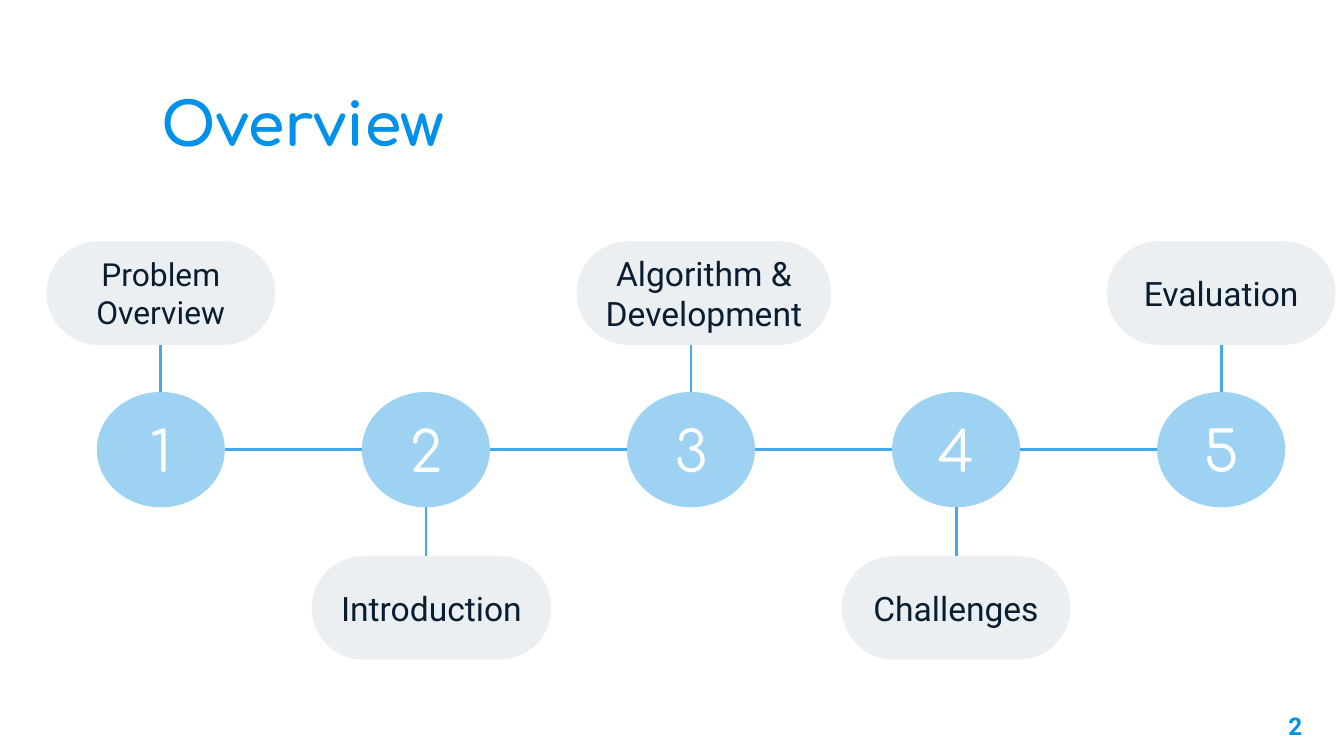
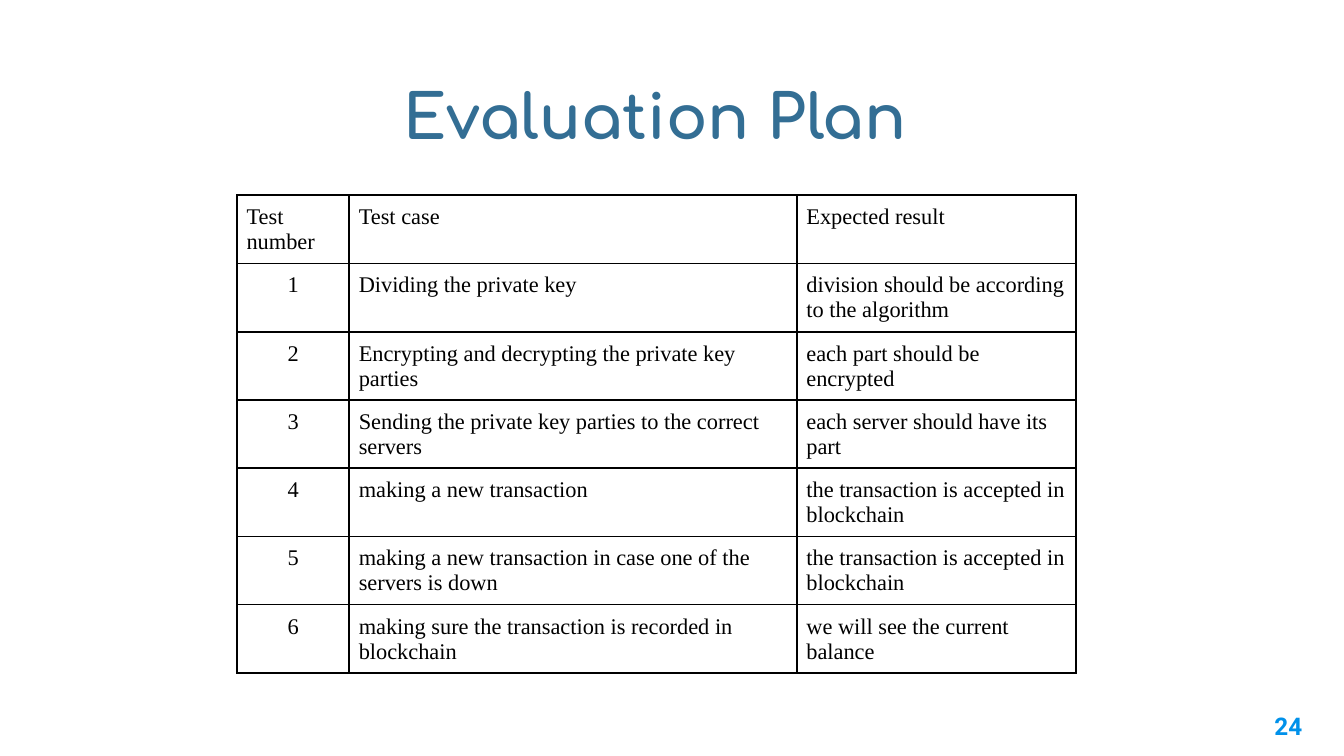
from dataclasses import dataclass

from lxml.etree import SubElement
from pptx import Presentation
from pptx.dml.color import RGBColor
from pptx.enum.shapes import MSO_CONNECTOR, MSO_SHAPE
from pptx.enum.text import MSO_ANCHOR, PP_ALIGN
from pptx.oxml import parse_xml
from pptx.oxml.ns import nsdecls, qn
from pptx.util import Cm, Pt

BRIGHT_BLUE = "0091EA"
STEEL_BLUE = "336E94"
LINE_BLUE = "46A9E7"
NODE_BLUE = "9ED2F2"
PILL_GREY = "ECEFF1"
NAVY = "091D31"
WHITE = "FFFFFF"
BLACK = "000000"


@dataclass(frozen=True)
class Box:
    left: float
    top: float
    width: float
    height: float

    def lengths(self):
        return Cm(self.left), Cm(self.top), Cm(self.width), Cm(self.height)


@dataclass(frozen=True)
class TextStyle:
    font: str
    size: float
    color: str
    bold: bool = False
    align: PP_ALIGN = PP_ALIGN.LEFT
    anchor: MSO_ANCHOR = MSO_ANCHOR.TOP


STANDARD_PILL_WIDTH = 4.32


@dataclass(frozen=True)
class Step:
    label: str
    pill_width: float = STANDARD_PILL_WIDTH
    size: float = 18


PAGE_NUMBER = TextStyle("Roboto", 13, BRIGHT_BLUE, True, PP_ALIGN.RIGHT)
NODE_NUMBER = TextStyle("Comfortaa", 30, WHITE, False, PP_ALIGN.CENTER, MSO_ANCHOR.MIDDLE)
CELL = TextStyle("Times New Roman", 12, BLACK)
CELL_CENTERED = TextStyle("Times New Roman", 12, BLACK, align=PP_ALIGN.CENTER)

STEPS = [
    Step("Problem Overview", size=17),
    Step("Introduction", 4.53),
    Step("Algorithm & Development", 4.81),
    Step("Challenges"),
    Step("Evaluation"),
]
NODE_LEFT, NODE_TOP, NODE_WIDTH, NODE_HEIGHT = 1.83, 7.41, 2.42, 2.18
NODE_PITCH = 5.01
PILL_OVERHANG, PILL_HEIGHT = 0.95, 1.96
PILL_TOP_ABOVE, PILL_TOP_BELOW = 4.56, 10.51

TESTS = [
    ("Test number", "Test case", "Expected result"),
    ("1", "Dividing the private key", "division should be according to the algorithm"),
    ("2", "Encrypting and decrypting the private key parties",
     "each part should be encrypted"),
    ("3", "Sending the private key parties to the correct servers",
     "each server should have its part"),
    ("4", "making a new transaction", "the transaction is accepted in blockchain"),
    ("5", "making a new transaction in case one of the servers is down",
     "the transaction is accepted in blockchain"),
    ("6", "making sure the transaction is recorded in blockchain",
     "we will see the current balance"),
]
COLUMN_WIDTHS = (2.12, 8.46, 5.28)
ROW_HEIGHT = 1.29


def rgb(color: str) -> RGBColor:
    return RGBColor.from_string(color)


def set_attributes(target, values: dict) -> None:
    for name, value in values.items():
        setattr(target, name, value)


def write(text_frame, text: str, style: TextStyle) -> None:
    paragraph = text_frame.paragraphs[0]
    paragraph.alignment = style.align
    run = paragraph.add_run()
    run.text = text
    set_attributes(run.font, {"name": style.font, "size": Pt(style.size), "bold": style.bold})
    run.font.color.rgb = rgb(style.color)


def fill_frame(text_frame, text: str, style: TextStyle) -> None:
    margin = Cm(0.25)
    set_attributes(text_frame, {
        "word_wrap": True, "vertical_anchor": style.anchor,
        "margin_left": margin, "margin_right": margin,
        "margin_top": margin, "margin_bottom": margin,
    })
    write(text_frame, text, style)


def add_text(slide, box: Box, text: str, style: TextStyle) -> None:
    fill_frame(slide.shapes.add_textbox(*box.lengths()).text_frame, text, style)


def add_filled_shape(slide, kind: MSO_SHAPE, box: Box, color: str, text: str, style: TextStyle):
    shape = slide.shapes.add_shape(kind, *box.lengths())
    shape.shadow.inherit = False
    shape.fill.solid()
    shape.fill.fore_color.rgb = rgb(color)
    shape.line.fill.background()
    fill_frame(shape.text_frame, text, style)
    return shape


def add_line(slide, x1: float, y1: float, x2: float, y2: float):
    line = slide.shapes.add_connector(MSO_CONNECTOR.STRAIGHT, Cm(x1), Cm(y1), Cm(x2), Cm(y2))
    line.line.color.rgb = rgb(LINE_BLUE)
    line.line.width = Pt(1.5)
    SubElement(line._element.spPr, qn("a:effectLst"))
    return line


def add_base_slide(presentation, number: int, title: str, title_box: Box, size: float, color: str):
    slide = presentation.slides.add_slide(presentation.slide_layouts[6])
    add_text(slide, Box(23.34, 13.19, 1.52, 1.09), str(number), PAGE_NUMBER)
    title_style = TextStyle("Comfortaa", size, color, True, anchor=MSO_ANCHOR.BOTTOM)
    add_text(slide, title_box, title, title_style)
    return slide


def add_step(slide, index: int, step: Step) -> None:
    """Draw a numbered node, its label pill and the stem that joins them."""
    left = NODE_LEFT + index * NODE_PITCH
    center = left + NODE_WIDTH / 2
    above = index % 2 == 0
    node_box = Box(left, NODE_TOP, NODE_WIDTH, NODE_HEIGHT)
    node = add_filled_shape(slide, MSO_SHAPE.OVAL, node_box, NODE_BLUE, str(index + 1), NODE_NUMBER)

    pill_top = PILL_TOP_ABOVE if above else PILL_TOP_BELOW
    pill_box = Box(left - PILL_OVERHANG, pill_top, step.pill_width, PILL_HEIGHT)
    label_style = TextStyle("Roboto", step.size, NAVY, False, PP_ALIGN.CENTER, MSO_ANCHOR.MIDDLE)
    pill = add_filled_shape(slide, MSO_SHAPE.ROUNDED_RECTANGLE, pill_box, PILL_GREY,
                            step.label, label_style)
    pill.adjustments[0] = 0.5

    node_y = NODE_TOP if above else NODE_TOP + NODE_HEIGHT
    pill_y = pill_top + PILL_HEIGHT if above else pill_top
    stem = add_line(slide, center, node_y, center, pill_y)
    if above:
        stem.begin_connect(node, 0)
    if step.pill_width == STANDARD_PILL_WIDTH:
        stem.end_connect(pill, 2 if above else 0)


def build_overview(presentation) -> None:
    slide = add_base_slide(presentation, 2, "Overview", Box(2.79, 1.3, 14.5, 1.95), 32, BRIGHT_BLUE)
    middle = NODE_TOP + NODE_HEIGHT / 2
    for index, step in enumerate(STEPS):
        add_step(slide, index, step)
        if index:
            node_left = NODE_LEFT + index * NODE_PITCH
            add_line(slide, node_left - NODE_PITCH + NODE_WIDTH, middle, node_left, middle)


def add_borders(cell) -> None:
    properties = cell._tc.get_or_add_tcPr()
    for position, side in enumerate("LRTB"):
        border = parse_xml(
            f'<a:ln{side} {nsdecls("a")} w="{Pt(1)}"><a:solidFill>'
            f'<a:srgbClr val="{BLACK}"/></a:solidFill></a:ln{side}>')
        properties.insert(position, border)


def build_evaluation_plan(presentation) -> None:
    slide = add_base_slide(presentation, 24, "Evaluation Plan", Box(7.38, 0.84, 10.64, 2.28),
                           33, STEEL_BLUE)
    box = Box(4.48, 3.69, sum(COLUMN_WIDTHS), ROW_HEIGHT * len(TESTS))
    table = slide.shapes.add_table(len(TESTS), len(COLUMN_WIDTHS), *box.lengths()).table
    set_attributes(table, {"first_row": False, "horz_banding": False})
    for column, width in zip(table.columns, COLUMN_WIDTHS):
        column.width = Cm(width)
    margin = Cm(0.18)
    for row_index, values in enumerate(TESTS):
        table.rows[row_index].height = Cm(ROW_HEIGHT)
        for column_index, text in enumerate(values):
            cell = table.cell(row_index, column_index)
            set_attributes(cell, {"margin_left": margin, "margin_right": margin,
                                  "margin_top": margin, "margin_bottom": Cm(0.05)})
            cell.fill.background()
            add_borders(cell)
            is_number = row_index > 0 and column_index == 0
            write(cell.text_frame, text, CELL_CENTERED if is_number else CELL)


def main() -> None:
    presentation = Presentation()
    set_attributes(presentation, {"slide_width": Cm(25.4), "slide_height": Cm(14.29)})
    build_overview(presentation)
    build_evaluation_plan(presentation)
    presentation.save("out.pptx")


if __name__ == "__main__":
    main()
